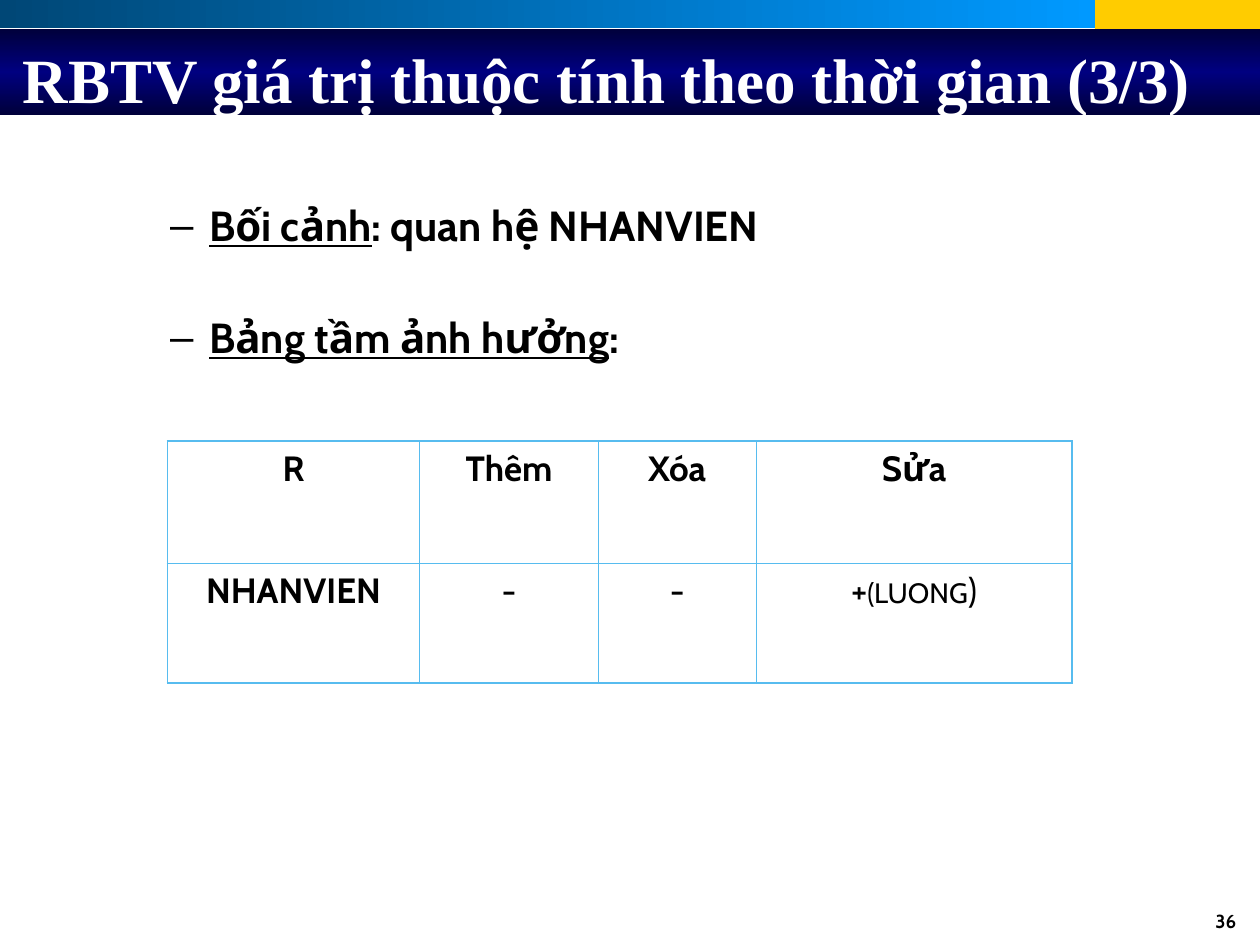
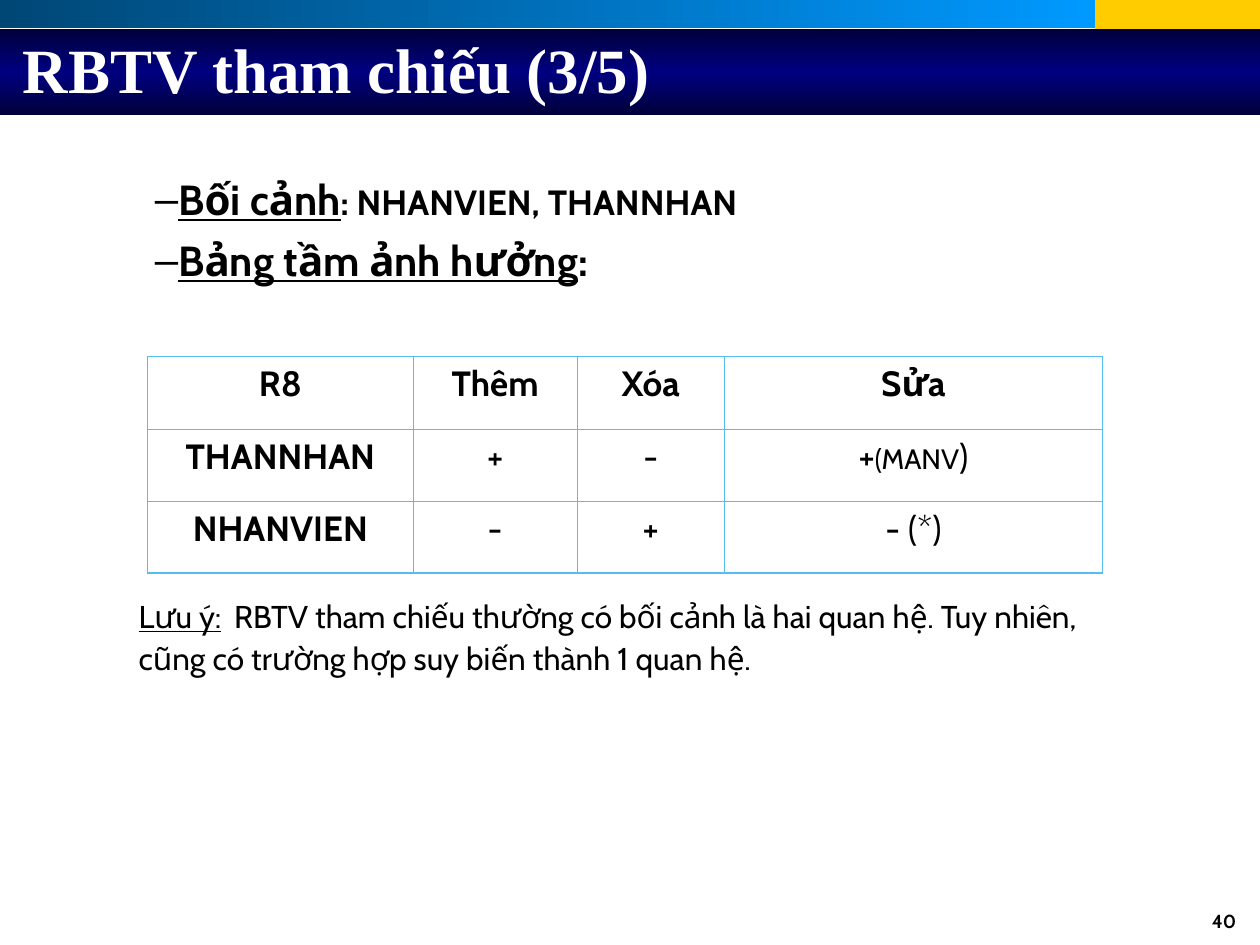
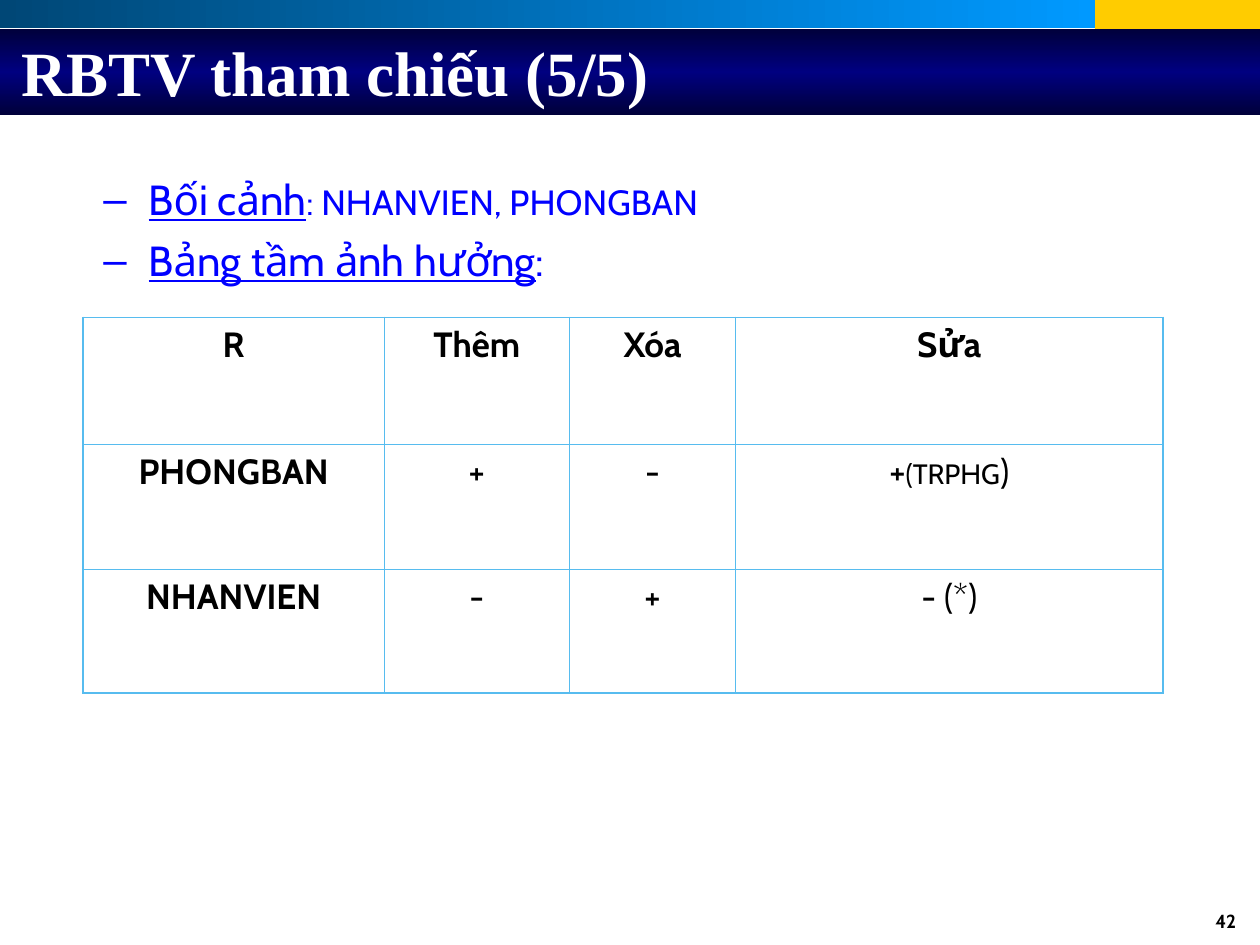
from lxml import etree
from pptx import Presentation
from pptx import util as u
from pptx.dml import color
from pptx.enum import shapes, text
from pptx.oxml import ns

COLOURS = {
    "black": "000000",
    "white": "FFFFFF",
    "blue": "0000FF",
    "yellow": "FFCC00",
    "bar start": "004776",
    "bar end": "0099FF",
    "band edge": "00003B",
    "band middle": "000080",
    "table line": "57BCEF",
}
BODY_FONT = "Cabin"
TITLE_FONT = "Times New Roman"
HEADER = ["Thêm", "Xóa", "Sửa"]
OUTER_LINE, INNER_LINE = 1.08, 0.45


def rgb(name):
    return color.RGBColor.from_string(COLOURS[name])


def place(box, left, top, width, height):
    box.left, box.top = u.Inches(left), u.Inches(top)
    box.width, box.height = u.Inches(width), u.Inches(height)


def add_colour(parent, name):
    fill = etree.SubElement(parent, ns.qn("a:solidFill"))
    etree.SubElement(fill, ns.qn("a:srgbClr"), val=COLOURS[name])


def style_span(span, size, colour="black", bold=False, underline=False, font=BODY_FONT):
    span.font.name = font
    span.font.size = u.Pt(size)
    span.font.bold = bold
    span.font.underline = underline
    span.font.color.rgb = rgb(colour)


def add_span(para, words, size, **style):
    span = para.add_run()
    span.text = words
    style_span(span, size, **style)


def add_band(slide, area, names, angle=0):
    band = slide.shapes.add_shape(shapes.MSO_SHAPE.RECTANGLE, *map(u.Inches, area))
    band.shadow.inherit = False
    band.line.fill.background()
    if len(names) == 1:
        band.fill.solid()
        band.fill.fore_color.rgb = rgb(names[0])
        return band
    band.fill.gradient()
    band.fill.gradient_angle = angle
    stops = band.element.spPr.find(".//" + ns.qn("a:gsLst"))
    stops.clear()
    for index, name in enumerate(names):
        position = 100000 * index // (len(names) - 1)
        stop = etree.SubElement(stops, ns.qn("a:gs"), pos=str(position))
        etree.SubElement(stop, ns.qn("a:srgbClr"), val=COLOURS[name])
    return band


def add_shared_bands(slide):
    bands = [
        add_band(slide, (8.69, 0, 1.31, 0.28), ["yellow"]),
        add_band(slide, (0, 0, 8.69, 0.22), ["bar start", "bar end"]),
        add_band(slide, (0, 0.23, 10, 0.68), ["band edge", "band middle", "band edge"], 270),
    ]
    for band in bands:
        slide.slide_layout.shapes.element.append(band.element)


def set_title(slide, words, left, top, width):
    title = slide.shapes.title
    place(title, left, top, width, 1.25)
    frame = title.text_frame
    frame.text = words
    frame.auto_size = text.MSO_AUTO_SIZE.NONE
    frame.vertical_anchor = text.MSO_ANCHOR.MIDDLE
    para = frame.paragraphs[0]
    para.alignment = text.PP_ALIGN.LEFT
    style_span(para.runs[0], 36, colour="white", bold=True, font=TITLE_FONT)


def add_page_number(slide, number):
    box = slide.shapes.add_textbox(*map(u.Inches, (7.58, 7.17, 2.33, 0.32)))
    box.text_frame.word_wrap = True
    para = box.text_frame.paragraphs[0]
    para.text = str(number)
    para.alignment = text.PP_ALIGN.RIGHT
    style_span(para.runs[0], 10.8, bold=True)


def set_indent(para, margin, indent):
    properties = para._p.get_or_add_pPr()
    properties.set("marL", str(u.Inches(margin)))
    properties.set("indent", str(u.Inches(indent)))
    return properties


def set_bullet(para, margin, indent, colour):
    para.level = 1
    properties = set_indent(para, margin, indent)
    bullet_colour = etree.SubElement(properties, ns.qn("a:buClr"))
    etree.SubElement(bullet_colour, ns.qn("a:srgbClr"), val=COLOURS[colour])
    etree.SubElement(properties, ns.qn("a:buChar"), char="–")


def add_scope_list(slide, area, context, context_size, indents, gap=6,
                   line_spacing=1.0, colour="black", bold=True):
    body = slide.placeholders[1]
    place(body, *area)
    frame = body.text_frame
    frame.auto_size = text.MSO_AUTO_SIZE.NONE
    items = [("Bối cảnh", ": " + context, context_size), ("Bảng tầm ảnh hưởng", ":", 24)]
    for index, (label, rest, size) in enumerate(items):
        para = frame.add_paragraph() if index else frame.paragraphs[0]
        set_bullet(para, *indents, colour)
        para.line_spacing = line_spacing
        para.space_before = u.Pt(gap if index else 0)
        add_span(para, label, 24, colour=colour, bold=bold, underline=True)
        add_span(para, rest, size, colour=colour, bold=bold)
    return frame


def add_note(frame, label, words):
    para = frame.add_paragraph()
    etree.SubElement(set_indent(para, 0.5, 0), ns.qn("a:buNone"))
    para.space_before = u.Pt(164)
    add_span(para, label, 18, underline=True)
    add_span(para, " ", 32, bold=True)
    add_span(para, words, 18)


def set_borders(cell, outer_sides):
    properties = cell._tc.get_or_add_tcPr()
    for side in "LRTB":
        width = OUTER_LINE if side in outer_sides else INNER_LINE
        line = etree.SubElement(properties, ns.qn("a:ln" + side), w=str(u.Pt(width)))
        add_colour(line, "table line")


def fill_cell(cell, content, bold):
    para = cell.text_frame.paragraphs[0]
    para.alignment = text.PP_ALIGN.CENTER
    spans = [(content, 20)] if isinstance(content, str) else content
    for words, size in spans:
        add_span(para, words, size, bold=bold)


def add_effect_table(slide, left, top, widths, heights, rows):
    area = map(u.Inches, (left, top, sum(widths), sum(heights)))
    table = slide.shapes.add_table(len(rows), len(widths), *area).table
    table.first_row = table.horz_banding = False
    for column, width in zip(table.columns, widths):
        column.width = u.Inches(width)
    for row, height in zip(table.rows, heights):
        row.height = u.Inches(height)
    last_row, last_column = len(rows) - 1, len(widths) - 1
    for r, row in enumerate(rows):
        for c, content in enumerate(row):
            cell = table.cell(r, c)
            edges = {"T": r == 0, "B": r == last_row, "L": c == 0, "R": c == last_column}
            set_borders(cell, [side for side, outer in edges.items() if outer])
            cell.fill.background()
            fill_cell(cell, content, bold=r == 0 or c == 0)


def changed(attribute):
    return [("+", 20), ("(" + attribute, 16), (")", 20)]


def main():
    deck = Presentation()
    deck.slide_width, deck.slide_height = u.Inches(10), u.Inches(7.5)
    layout = deck.slide_layouts[1]
    time_slide, family_slide, department_slide = [
        deck.slides.add_slide(layout) for _ in range(3)]
    add_shared_bands(time_slide)

    set_title(time_slide, "RBTV giá trị thuộc tính theo thời gian (3/3)", 0.08, 0, 10)
    add_scope_list(time_slide, (0.75, 1.58, 8.5, 3.92), "quan hệ NHANVIEN", 24,
                   (0.81, -0.31), gap=38, line_spacing=0.9)
    add_effect_table(time_slide, 1.33, 3.5, [2, 1.42, 1.25, 2.51], [0.97, 0.95], [
        ["R", *HEADER],
        ["NHANVIEN", "-", "-", changed("LUONG")],
    ])
    add_page_number(time_slide, 36)

    set_title(family_slide, "RBTV tham chiếu (3/5)", 0.08, -0.08, 9)
    frame = add_scope_list(family_slide, (0.5, 1.33, 8.5, 4.92), "NHANVIEN, THANNHAN", 20,
                           (0.51, 0.12))
    add_note(frame, "Lưu ý:", "RBTV tham chiếu thường có bối cảnh là hai quan hệ. "
             "Tuy nhiên, cũng có trường hợp suy biến thành 1 quan hệ.")
    add_effect_table(family_slide, 1.17, 2.83, [2.11, 1.3, 1.17, 3], [0.58, 0.57, 0.57], [
        ["R8", *HEADER],
        ["THANNHAN", "+", "-", changed("MANV")],
        ["NHANVIEN", "-", "+", "- (*)"],
    ])
    add_page_number(family_slide, 40)

    set_title(department_slide, "RBTV tham chiếu (5/5)", 0.07, -0.06, 9)
    add_scope_list(department_slide, (0.58, 1.33, 8.33, 4.5), "NHANVIEN, PHONGBAN", 20,
                   (0.5, -0.36), colour="blue", bold=False)
    add_effect_table(department_slide, 0.66, 2.52, [2.39, 1.47, 1.32, 3.39],
                     [1.01, 0.99, 0.98], [
        ["R", *HEADER],
        ["PHONGBAN", "+", "-", changed("TRPHG")],
        ["NHANVIEN", "-", "+", "- (*)"],
    ])
    add_page_number(department_slide, 42)

    deck.save("out.pptx")


if __name__ == "__main__":
    main()
